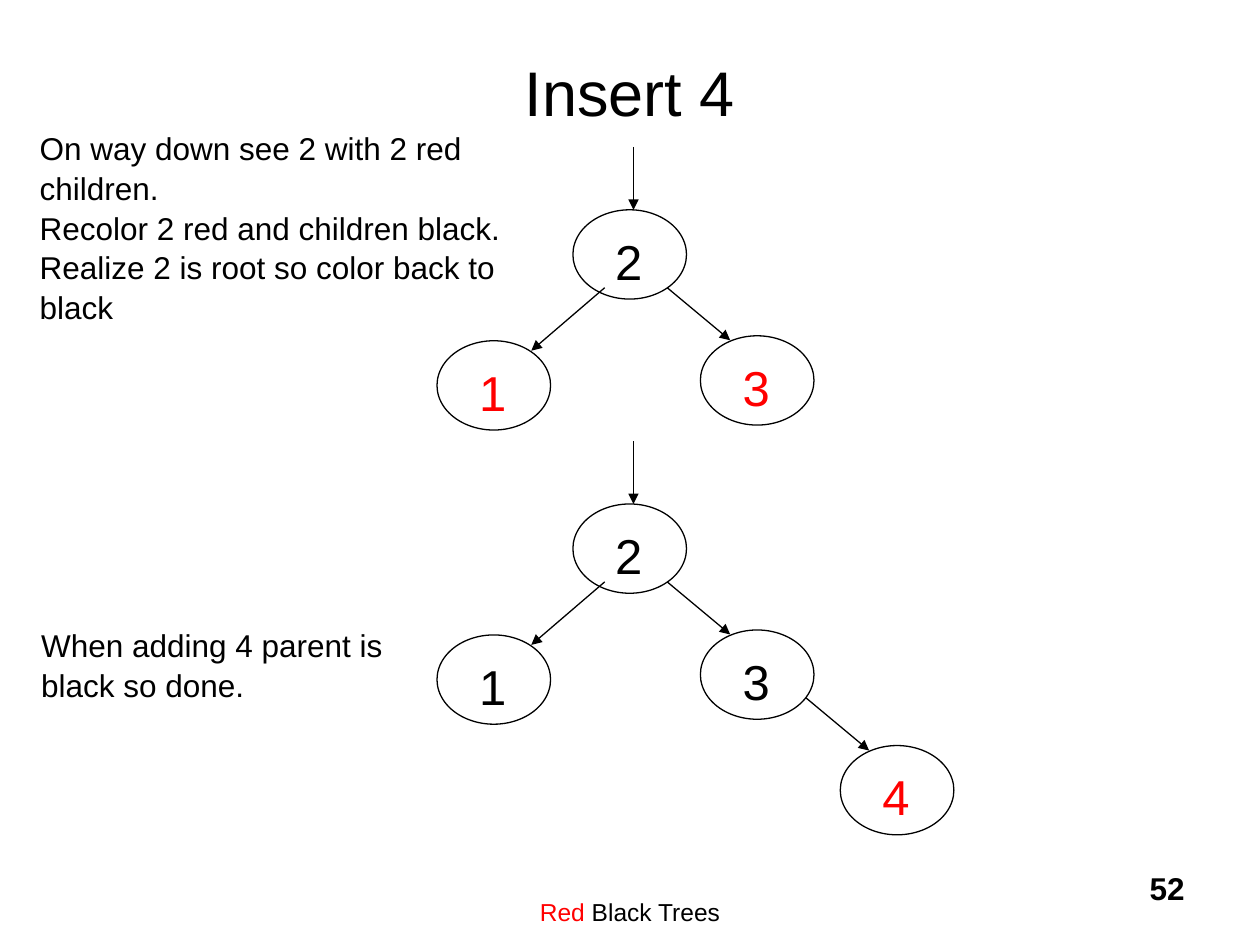
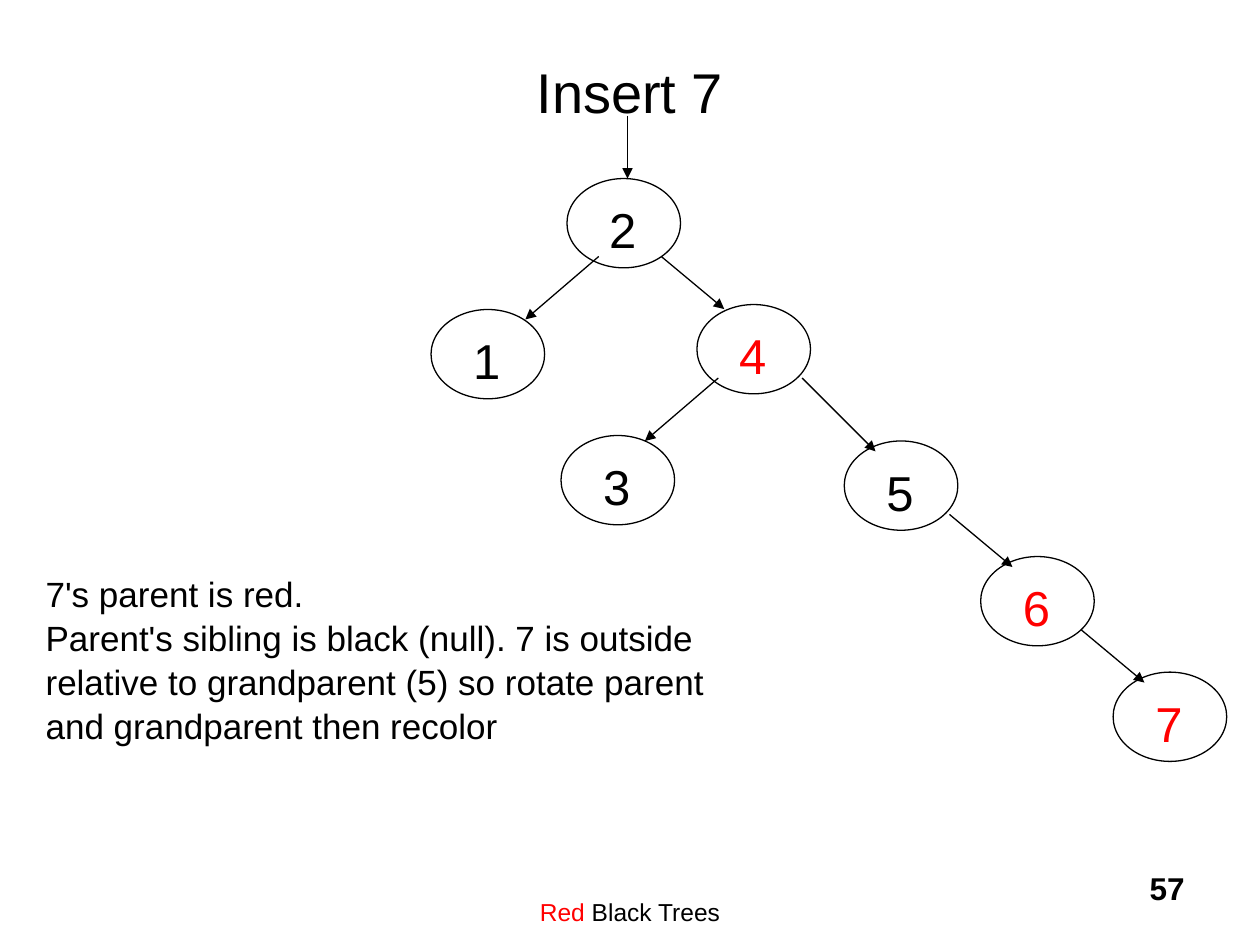
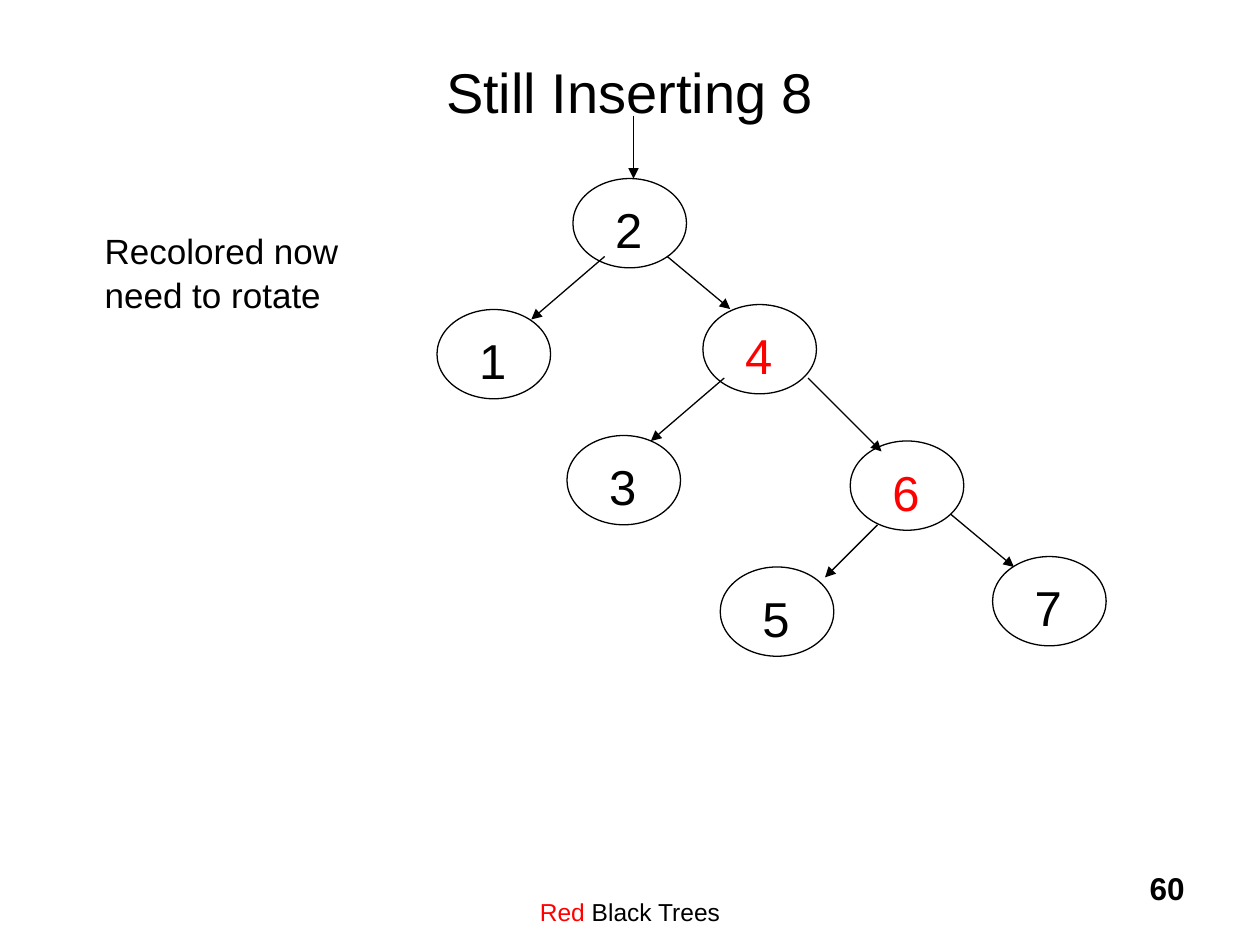
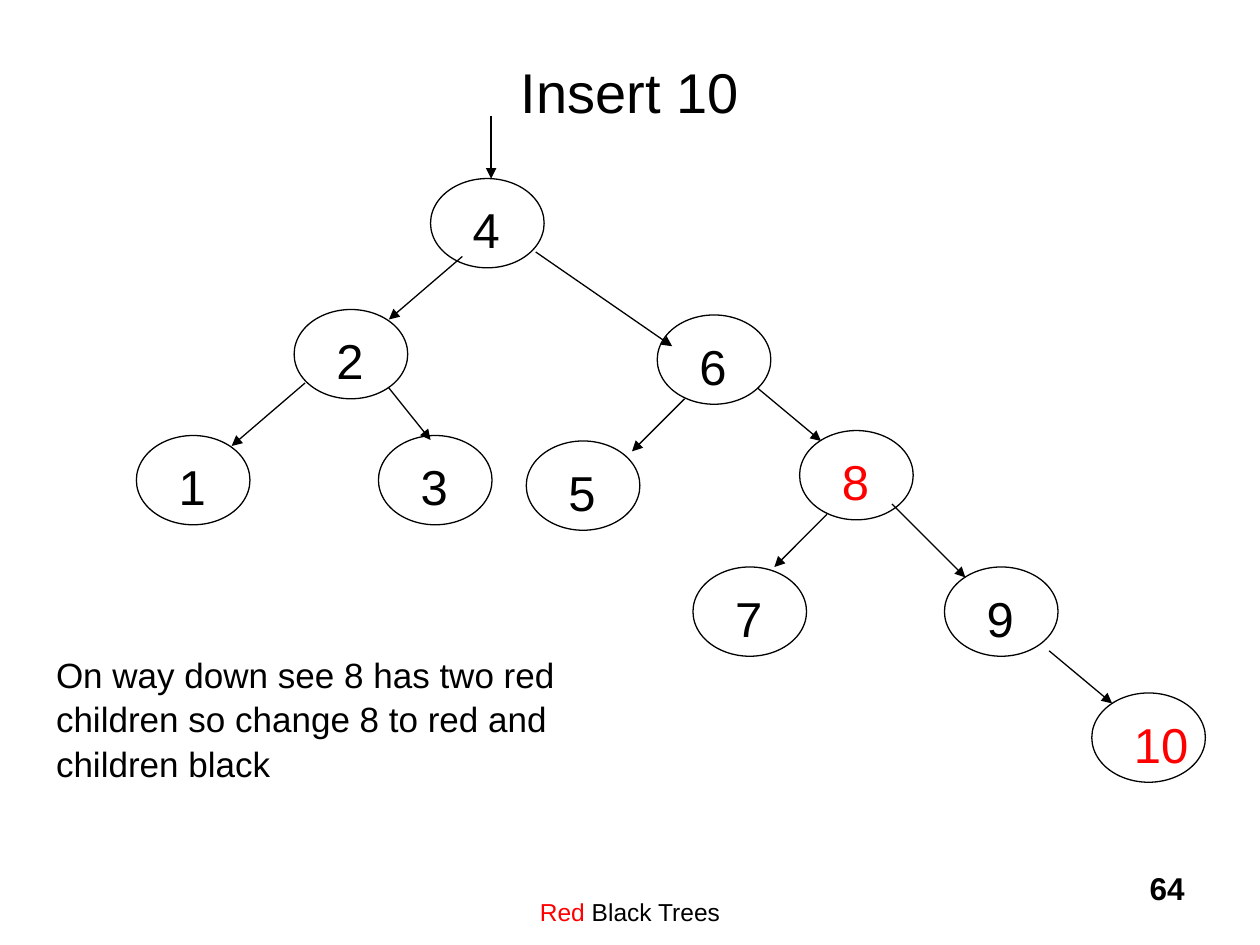
from dataclasses import dataclass

from lxml import etree
from pptx import Presentation
from pptx.dml.color import RGBColor
from pptx.enum.shapes import MSO_CONNECTOR, MSO_SHAPE
from pptx.enum.text import MSO_ANCHOR, MSO_AUTO_SIZE, PP_ALIGN
from pptx.oxml.ns import qn
from pptx.util import Cm, Pt

# Shared style
FONT = "Arial"
BLACK, RED = "000000", "FF0000"
LEFT, CENTER, RIGHT = PP_ALIGN.LEFT, PP_ALIGN.CENTER, PP_ALIGN.RIGHT
TOP, MIDDLE, BOTTOM = MSO_ANCHOR.TOP, MSO_ANCHOR.MIDDLE, MSO_ANCHOR.BOTTOM
FIT_SHAPE = MSO_AUTO_SIZE.SHAPE_TO_FIT_TEXT
STRAIGHT, ELLIPSE = MSO_CONNECTOR.STRAIGHT, MSO_SHAPE.OVAL
TITLE_ONLY = 5
LINE_SPACING = 1.05
LINE_WIDTH = Pt(0.75)

# Boxes in cm: left, top, width, height
TITLE_BOX = (1.9, 0.21, 21.6, 3.18)
FOOTER_BOX = (7.83, 17.36, 9.74, 1.32)
NUMBER_BOX = (18.84, 17.36, 5.29, 1.27)

# Tree geometry in cm
NODE_SIZE = (2.29, 1.8)
LABEL_OFFSET = (0.6, 0.21)
LABEL_HEIGHT = 1.45
DIGIT_WIDTH, LABEL_PADDING = 0.56, 0.51
ROOT_ARROW_X, ROOT_ARROW_LENGTH = 1.22, 1.27

# Arrow vectors from parent to child
DOWN_LEFT, DOWN_RIGHT = (-1.48, 1.27), (1.27, 1.06)
SHORT_LEFT, DIAGONAL_RIGHT = (-1.06, 1.06), (1.48, 1.48)

# Points on the parent where arrows start
LOW_LEFT, LOW_RIGHT = (0.64, 1.57), (1.9, 1.57)
UNDER_LEFT, SIDE_RIGHT, FAR_RIGHT = (0.55, 1.69), (2.03, 1.48), (2.12, 1.48)


@dataclass
class Child:
    """A node placed relative to its parent, with the arrow leading to it."""
    label: str
    parent: str
    offset: tuple
    start: tuple
    vector: tuple
    color: str = BLACK


def rgb(color):
    return RGBColor.from_string(color)


def add_span(para, text, size, color=BLACK, bold=False):
    span = para.add_run()
    span.text = text
    span.font.name = FONT
    span.font.size = Pt(size)
    span.font.bold = bold
    span.font.color.rgb = rgb(color)


def first_para(frame, align, anchor=TOP):
    frame.vertical_anchor = anchor
    para = frame.paragraphs[0]
    para.alignment = align
    para.line_spacing = LINE_SPACING
    para.space_before = Pt(0)
    return para


def add_text_box(shapes, area, align=LEFT, anchor=TOP, wrap=True):
    box = shapes.add_textbox(*map(Cm, area))
    box.text_frame.word_wrap = wrap
    return box.text_frame, first_para(box.text_frame, align, anchor)


def add_base(deck, title, title_size, number):
    """Slide with title, footer and slide number."""
    page = deck.slides.add_slide(deck.slide_layouts[TITLE_ONLY])
    heading = page.shapes.title
    heading.left, heading.top, heading.width, heading.height = map(Cm, TITLE_BOX)
    add_span(first_para(heading.text_frame, CENTER, MIDDLE), title, title_size)

    frame, para = add_text_box(page.shapes, FOOTER_BOX, CENTER, BOTTOM)
    frame.margin_bottom = 0
    add_span(para, "Red", 14, RED)
    add_span(para, " Black Trees", 14)

    para = add_text_box(page.shapes, NUMBER_BOX, RIGHT)[1]
    add_span(para, str(number), 18, bold=True)
    return page


def add_note(page, area, lines, size, wrap=True):
    frame, para = add_text_box(page.shapes, area, wrap=wrap)
    frame.auto_size = FIT_SHAPE
    frame.margin_top = Cm(0.16)
    for index, line in enumerate(lines):
        if index:
            para.add_line_break()
        add_span(para, line, size)


def add_arrow(page, start, vector):
    x, y = start
    dx, dy = vector
    arrow = page.shapes.add_connector(
        STRAIGHT, Cm(x), Cm(y), Cm(x + dx), Cm(y + dy))
    arrow.line.color.rgb = rgb(BLACK)
    arrow.line.width = LINE_WIDTH
    outline = arrow.line._get_or_add_ln()
    etree.SubElement(outline, qn("a:tailEnd"), type="triangle")
    etree.SubElement(arrow._element.spPr, qn("a:effectLst"))


def add_node(page, position, label, color=BLACK):
    """Outlined ellipse grouped with its label."""
    x, y = position
    group = page.shapes.add_group_shape()
    ring = group.shapes.add_shape(ELLIPSE, *map(Cm, (x, y, *NODE_SIZE)))
    ring.shadow.inherit = False
    ring.fill.background()
    ring.line.color.rgb = rgb(BLACK)
    ring.line.width = LINE_WIDTH

    width = LABEL_PADDING + DIGIT_WIDTH * len(label)
    area = (x + LABEL_OFFSET[0], y + LABEL_OFFSET[1], width, LABEL_HEIGHT)
    frame, para = add_text_box(group.shapes, area, wrap=False)
    frame.auto_size = FIT_SHAPE
    frame.margin_top = Cm(0.16)
    add_span(para, label, 28, color)


def add_tree(page, root, position, children):
    """Tree whose root ellipse has its top left corner at position."""
    x, y = position
    add_node(page, position, root)
    add_arrow(page, (x + ROOT_ARROW_X, y - ROOT_ARROW_LENGTH),
              (0, ROOT_ARROW_LENGTH))
    places = {root: position}
    for child in children:
        x, y = places[child.parent]
        place = (x + child.offset[0], y + child.offset[1])
        places[child.label] = place
        add_node(page, place, child.label, child.color)
        add_arrow(page, (x + child.start[0], y + child.start[1]), child.vector)


def small_tree(color):
    """Children 1 and 3 of root 2."""
    return [
        Child("1", "2", (-2.74, 2.64), LOW_LEFT, DOWN_LEFT, color),
        Child("3", "2", (2.57, 2.54), LOW_RIGHT, DOWN_RIGHT, color),
    ]


def upper_tree(right_label, right_color):
    """Root 2 with 1 and red 4, and the children of 4."""
    return [
        Child("1", "2", (-2.74, 2.64), LOW_LEFT, DOWN_LEFT),
        Child("4", "2", (2.62, 2.54), LOW_RIGHT, DOWN_RIGHT, RED),
        Child("3", "4", (-2.74, 2.64), (0.43, 1.48), DOWN_LEFT),
        Child(right_label, "4", (2.97, 2.75), FAR_RIGHT, DIAGONAL_RIGHT,
              right_color),
    ]


def insert_4(deck):
    page = add_base(deck, "Insert 4", 36, 52)
    add_tree(page, "2", (11.55, 4.23), small_tree(RED))
    add_note(page, (0.55, 2.41, 10.97, 4.09), [
        "On way down see 2 with 2 red children.",
        "Recolor 2 red and children black.",
        "Realize 2 is root so color back to black"], 18)
    add_tree(page, "2", (11.55, 10.16), small_tree(BLACK) + [
        Child("4", "3", (2.82, 2.33), (2.13, 1.37), DOWN_RIGHT, RED)])
    add_note(page, (0.58, 12.42, 7.57, 1.8),
             ["When adding 4 parent is black so done."], 18)


def insert_7(deck):
    page = add_base(deck, "Insert 7", 32, 57)
    add_tree(page, "2", (11.43, 3.6), upper_tree("5", BLACK) + [
        Child("6", "5", (2.75, 2.33), FAR_RIGHT, DOWN_RIGHT, RED),
        Child("7", "6", (2.67, 2.33), SIDE_RIGHT, DOWN_RIGHT, RED)])
    add_note(page, (0.67, 11.33, 13.79, 3.68), [
        "7's parent is red.",
        "Parent's sibling is black (null). 7 is outside relative to "
        "grandparent (5) so rotate parent and grandparent then recolor"], 20)


def still_inserting_8(deck):
    page = add_base(deck, "Still Inserting 8", 32, 60)
    add_tree(page, "2", (11.55, 3.6), upper_tree("6", RED) + [
        Child("5", "6", (-2.62, 2.54), UNDER_LEFT, SHORT_LEFT),
        Child("7", "6", (2.87, 2.33), SIDE_RIGHT, DOWN_RIGHT)])
    add_note(page, (1.86, 4.42, 5.26, 1.96),
             ["Recolored now", "need to rotate"], 20, wrap=False)


def insert_10(deck):
    page = add_base(deck, "Insert 10", 32, 64)
    add_tree(page, "4", (8.68, 3.6), [
        Child("2", "4", (-2.75, 2.64), LOW_LEFT, DOWN_LEFT),
        Child("6", "4", (4.57, 2.75), FAR_RIGHT, (2.75, 1.9)),
        Child("1", "2", (-3.18, 2.54), (0.22, 1.48), DOWN_LEFT),
        Child("3", "2", (1.7, 2.54), LOW_RIGHT, (0.85, 1.06)),
        Child("5", "6", (-2.64, 2.54), UNDER_LEFT, SHORT_LEFT),
        Child("8", "6", (2.87, 2.33), SIDE_RIGHT, DOWN_RIGHT, RED),
        Child("7", "8", (-2.15, 2.75), UNDER_LEFT, SHORT_LEFT),
        Child("9", "8", (2.92, 2.75), (1.86, 1.48), DIAGONAL_RIGHT),
        Child("10", "9", (2.97, 2.54), (2.11, 1.69), DOWN_RIGHT, RED)])
    add_note(page, (0.88, 12.98, 11.48, 2.82), [
        "On way down see 8 has two red children so change 8 to red "
        "and children black"], 20)


def main():
    deck = Presentation()
    deck.slide_width, deck.slide_height = Cm(25.4), Cm(19.05)
    for build in (insert_4, insert_7, still_inserting_8, insert_10):
        build(deck)
    deck.save("out.pptx")


if __name__ == "__main__":
    main()
